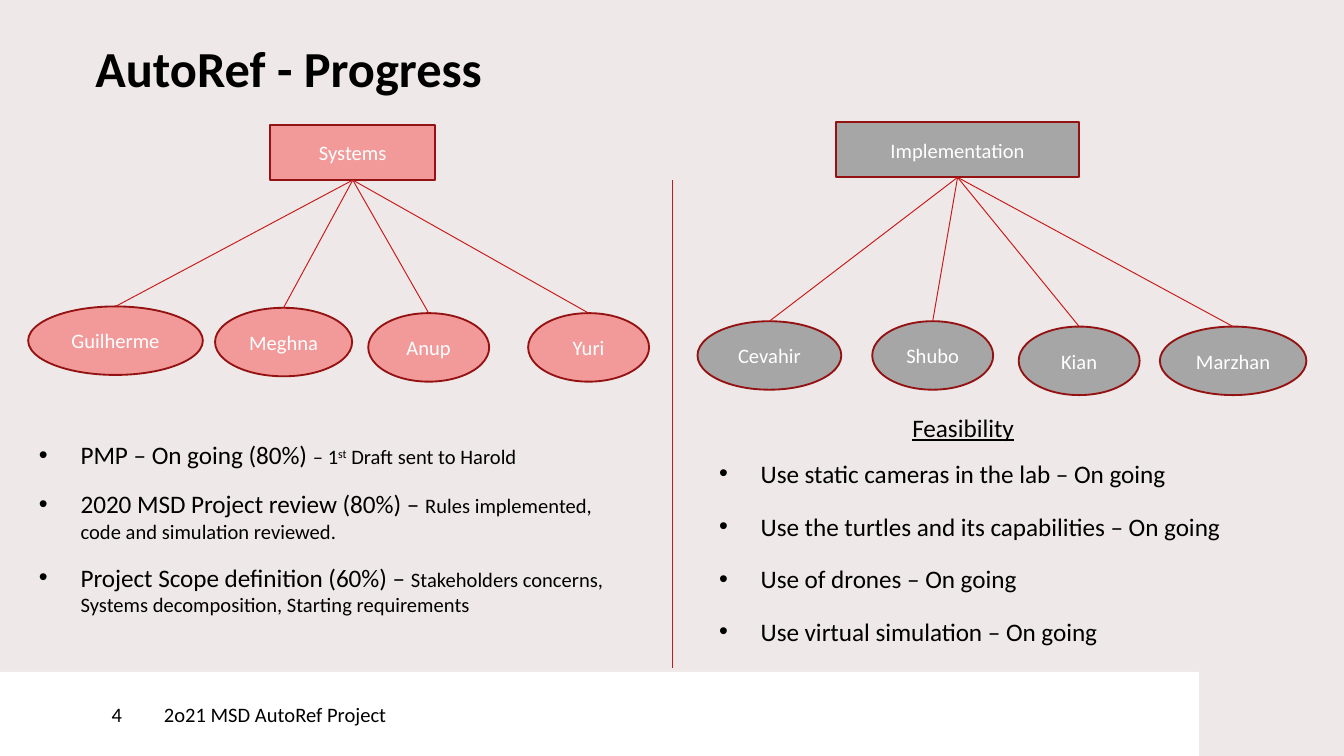
from dataclasses import dataclass, field

from lxml import etree
from pptx import Presentation
from pptx.dml.color import RGBColor
from pptx.enum.shapes import MSO_CONNECTOR, MSO_SHAPE
from pptx.enum.text import MSO_ANCHOR, MSO_AUTO_SIZE, PP_ALIGN
from pptx.oxml.ns import qn
from pptx.util import Inches, Pt

RECTANGLE, ELLIPSE = MSO_SHAPE.RECTANGLE, MSO_SHAPE.OVAL
STRAIGHT = MSO_CONNECTOR.STRAIGHT
TOP, MIDDLE = MSO_ANCHOR.TOP, MSO_ANCHOR.MIDDLE
LEFT, CENTER = PP_ALIGN.LEFT, PP_ALIGN.CENTER
FIXED = MSO_AUTO_SIZE.NONE
TWO_CONTENT = 3
BOTTOM_SITE, TOP_SITE = 2, 0
LARGE, SMALL = 13.5, 11

COLORS = {
    "ground": "EEE8E8", "text": "000000", "white": "FFFFFF",
    "systems": "F29A9A", "implementation": "A6A6A6",
    "outline": "941212", "link": "C81919",
}

SYSTEMS = [("Guilherme", 2.1, 22.8, 13), ("Meghna", 16, 22.9, 10.2),
           ("Anup", 27.4, 23.3, 9), ("Yuri", 39.3, 23.3, 9)]
IMPLEMENTATION = [("Cevahir", 51.9, 23.9, 10.7), ("Shubo", 64.9, 23.9, 9),
                  ("Kian", 75.8, 24.3, 9), ("Marzhan", 86.3, 24.3, 10.9)]

PROGRESS = [
    [("PMP – On going (80%) ", LARGE), ("– 1", SMALL), ("st", SMALL),
     (" Draft sent to Harold", SMALL)],
    [("2020 MSD Project review (80%) – ", LARGE),
     ("Rules implemented, code and simulation reviewed.", SMALL)],
    [("Project Scope definition (60%) – ", LARGE),
     ("Stakeholders concerns, Systems decomposition, Starting requirements", SMALL)],
]
FEASIBILITY = [[(text + " – On going", LARGE)] for text in (
    "Use static cameras in the lab", "Use the turtles and its capabilities",
    "Use of drones", "Use virtual simulation")]


def cells(*counts):
    """Convert grid columns or rows, a tenth of an inch each, to lengths."""
    return [Inches(count / 10) for count in counts]


@dataclass
class SlideBuilder:
    """Hold the style and the current slide, and add each kind of element."""
    page: object
    font: str = "Calibri"
    colors: dict = field(default_factory=lambda: COLORS)

    def color(self, name):
        """Return a named colour."""
        return RGBColor.from_string(self.colors[name])

    def background(self, name):
        """Fill the slide background."""
        fill = self.page.background.fill
        fill.solid()
        fill.fore_color.rgb = self.color(name)

    def style(self, span, size, color="text"):
        """Format one run."""
        span.font.name = self.font
        span.font.size = Pt(size)
        span.font.color.rgb = self.color(color)

    def place(self, shape, left, top, width, height):
        """Move a shape to its grid cells."""
        shape.left, shape.top, shape.width, shape.height = cells(
            left, top, width, height)

    def inset(self, frame, left=0):
        """Remove the text margins except the left one."""
        frame.margin_left, = cells(left)
        frame.margin_top = frame.margin_right = frame.margin_bottom = 0

    def title(self, text, *area):
        """Fill and place the title placeholder."""
        box = self.page.shapes.title
        self.place(box, *area)
        frame = box.text_frame
        frame.text = text
        frame.auto_size = FIXED
        frame.vertical_anchor = TOP
        self.inset(frame)
        para = frame.paragraphs[0]
        para.alignment = LEFT
        para.line_spacing = Pt(27)
        self.style(para.runs[0], 27)
        para.runs[0].font.bold = True

    def bullets(self, index, items, gap, *area):
        """Fill and place a body placeholder as a bulleted list."""
        box = self.page.placeholders[index]
        self.place(box, *area)
        frame = box.text_frame
        frame.auto_size = FIXED
        frame.vertical_anchor = TOP
        for number, item in enumerate(items):
            para = frame.add_paragraph() if number else frame.paragraphs[0]
            para.space_before, para.space_after = Pt(0), Pt(gap)
            indent, = cells(3.1)
            properties = para._p.get_or_add_pPr()
            properties.set("marL", str(indent))
            properties.set("indent", str(-indent))
            etree.SubElement(properties, qn("a:buChar")).set("char", "•")
            for text, size in item:
                span = para.add_run()
                span.text = text
                self.style(span, size)
                if text == "st":
                    span.font._element.set("baseline", "30000")

    def heading(self, text, *area):
        """Add an underlined heading."""
        box = self.page.shapes.add_textbox(*cells(*area))
        box.text_frame.text = text
        span = box.text_frame.paragraphs[0].runs[0]
        self.style(span, LARGE)
        span.font.underline = True

    def block(self, kind, text, fill, color, *area):
        """Add a filled shape with vertically centred text."""
        shape = self.page.shapes.add_shape(kind, *cells(*area))
        shape.shadow.inherit = False
        shape.fill.solid()
        shape.fill.fore_color.rgb = self.color(fill)
        shape.line.fill.background()
        frame = shape.text_frame
        frame.text = text
        frame.vertical_anchor = MIDDLE
        frame.paragraphs[0].alignment = LEFT
        self.style(frame.paragraphs[0].runs[0], SMALL, color)
        return shape

    def node(self, kind, text, fill, *area):
        """Add an outlined chart node with centred text."""
        shape = self.block(kind, text, fill, "white", *area)
        shape.line.color.rgb = self.color("outline")
        shape.line.width = Pt(1)
        shape.text_frame.word_wrap = False
        shape.text_frame.paragraphs[0].alignment = CENTER
        return shape

    def line(self, *ends):
        """Add a thin straight line."""
        link = self.page.shapes.add_connector(STRAIGHT, *cells(*ends))
        link.line.color.rgb = self.color("link")
        link.line.width = Pt(0.5)
        etree.SubElement(link._element.spPr, qn("a:effectLst"))
        return link

    def team(self, name, fill, members, *area):
        """Add a team box joined to an ellipse for each member."""
        head = self.node(RECTANGLE, name, fill, *area)
        for member, left, top, width in members:
            person = self.node(ELLIPSE, member, fill, left, top, width, 5.1)
            link = self.line(0, 0, 1, 1)
            link.begin_connect(head, BOTTOM_SITE)
            link.end_connect(person, TOP_SITE)

    def footer(self, text, margin, *area):
        """Add a white footer panel."""
        panel = self.block(RECTANGLE, text, "white", "text", *area)
        self.inset(panel.text_frame, margin)


def main():
    """Build and save the slide."""
    deck = Presentation()
    deck.slide_width, deck.slide_height = cells(100, 56.25)
    builder = SlideBuilder(deck.slides.add_slide(deck.slide_layouts[TWO_CONTENT]))
    builder.background("ground")
    builder.title("AutoRef - Progress", 7.1, 3.5, 86.6, 4.1)
    builder.team("Systems", "systems", SYSTEMS, 20.1, 9.3, 12.3, 4.1)
    builder.team("Implementation", "implementation", IMPLEMENTATION,
                 62.2, 9.1, 18.1, 4.1)
    builder.line(50, 13.4, 50, 49.7)
    builder.bullets(1, PROGRESS, 10, 1.9, 32.2, 45, 14.4)
    builder.bullets(2, FEASIBILITY, 12, 52.5, 33.6, 45, 15.2)
    builder.heading("Feasibility", 66.9, 30.2, 12.2, 4)
    builder.footer("4", 8.3, 0, 50, 12.2, 6.25)
    builder.footer("2o21 MSD AutoRef Project", 0, 12.2, 50, 77, 6.25)
    deck.save("out.pptx")


if __name__ == "__main__":
    main()
